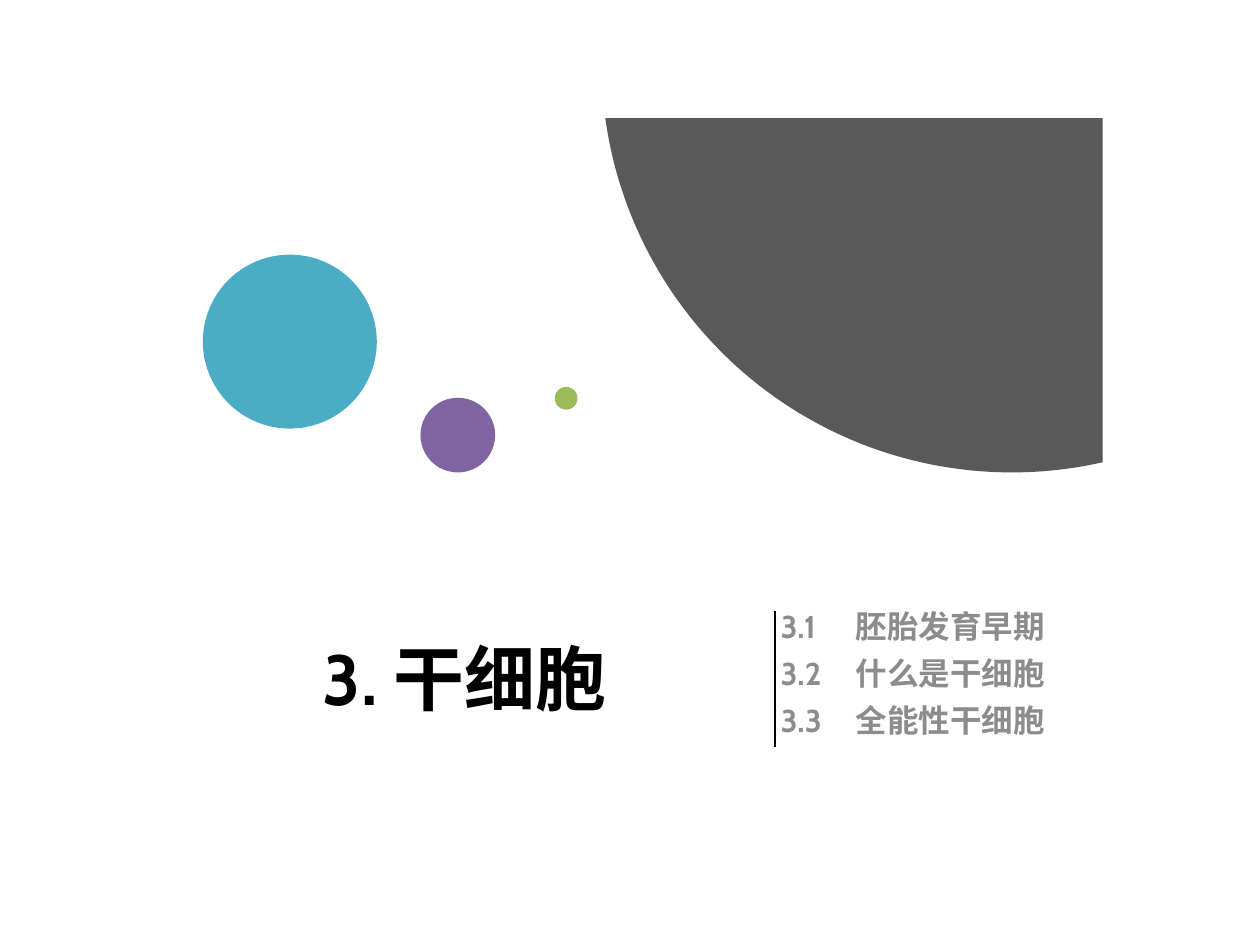
from math import acos, asin, cos, pi, sin

from lxml.etree import SubElement
from pptx import Presentation
from pptx.dml.color import RGBColor
from pptx.enum.shapes import MSO_CONNECTOR, MSO_SHAPE
from pptx.enum.text import MSO_ANCHOR, PP_ALIGN
from pptx.oxml.ns import qn
from pptx.util import Pt

BLACK = RGBColor(0x00, 0x00, 0x00)
GRAY = RGBColor(0x8C, 0x8C, 0x8C)
CHARCOAL = RGBColor(0x59, 0x59, 0x59)
TEAL = RGBColor(0x4B, 0xAC, 0xC6)
PURPLE = RGBColor(0x80, 0x64, 0xA2)
GREEN = RGBColor(0x9B, 0xBB, 0x59)

CIRCLES = [
    (115.9, 145.5, 99.4, TEAL),
    (240.3, 227.3, 42.7, PURPLE),
    (317, 221.1, 13, GREEN),
]
SECTIONS = [
    "3.1\t胚胎发育早期",
    "3.2\t什么是干细胞",
    "3.3\t全能性干细胞",
]


def write(para, text, *, size, color, font="Cabin", bold=True, align=PP_ALIGN.LEFT,
          before=0, line_spacing=None, tab=None):
    """Fill a paragraph; tab is the position of its tab stop in points."""
    para.alignment = align
    para.space_before = Pt(before)
    para.line_spacing = line_spacing
    if tab:
        tabs = SubElement(para._p.get_or_add_pPr(), qn("a:tabLst"))
        SubElement(tabs, qn("a:tab"), pos=str(Pt(tab)), algn="l")
    span = para.add_run()
    span.text = text
    span.font.name = font
    span.font.size = Pt(size)
    span.font.bold = bold
    span.font.color.rgb = color


class SlideBuilder:
    def __init__(self, page):
        self.page = page

    def paint(self, shape, color):
        shape.shadow.inherit = False
        shape.fill.solid()
        shape.fill.fore_color.rgb = color
        shape.line.fill.background()

    def text(self, left, top, width, height, lines, before=0, **style):
        box = self.page.shapes.add_textbox(Pt(left), Pt(top), Pt(width), Pt(height))
        frame = box.text_frame
        frame.word_wrap = True
        frame.vertical_anchor = MSO_ANCHOR.MIDDLE
        frame.margin_left = frame.margin_right = Pt(5.4)
        frame.margin_top = frame.margin_bottom = Pt(2.7)
        for index, line in enumerate(lines):
            para = frame.add_paragraph() if index else frame.paragraphs[0]
            write(para, line, before=before if index else 0, **style)

    def circle(self, left, top, diameter, color):
        shape = self.page.shapes.add_shape(
            MSO_SHAPE.OVAL, Pt(left), Pt(top), Pt(diameter), Pt(diameter))
        self.paint(shape, color)

    def cropped_disc(self, center_x, center_y, radius, top, right, color, steps=90):
        """Draw the part of a disc below top and left of right."""
        start = acos((right - center_x) / radius)
        end = pi - asin((top - center_y) / radius)
        angles = [start + (end - start) * step / steps for step in range(steps + 1)]
        arc = [(Pt(center_x + radius * cos(angle)), Pt(center_y + radius * sin(angle)))
               for angle in angles]
        outline = self.page.shapes.build_freeform(Pt(right), Pt(top))
        outline.add_line_segments(arc, close=True)
        self.paint(outline.convert_to_shape(), color)

    def vertical_line(self, x, top, bottom, color, width):
        line = self.page.shapes.add_connector(
            MSO_CONNECTOR.STRAIGHT, Pt(x), Pt(top), Pt(x), Pt(bottom))
        line.line.color.rgb = color
        line.line.width = Pt(width)
        SubElement(line._element.spPr, qn("a:effectLst"))


def main():
    deck = Presentation()
    deck.slide_width, deck.slide_height = Pt(720), Pt(540)
    builder = SlideBuilder(deck.slides.add_slide(deck.slide_layouts[6]))

    builder.text(113, 336.2, 305.3, 101.5, ["3. 干细胞"],
                 size=40.5, color=BLACK, align=PP_ALIGN.CENTER)
    builder.text(440.6, 333.4, 187.9, 105.1, SECTIONS, size=18, color=GRAY,
                 before=7.5, line_spacing=0.9, tab=43)
    for circle in CIRCLES:
        builder.circle(*circle)
    builder.cropped_disc(578.2, 35.5, 234.5, top=67.5, right=630, color=CHARCOAL)
    builder.vertical_line(442.8, 349.2, 426.6, BLACK, 1.5)

    deck.save("out.pptx")


if __name__ == "__main__":
    main()
